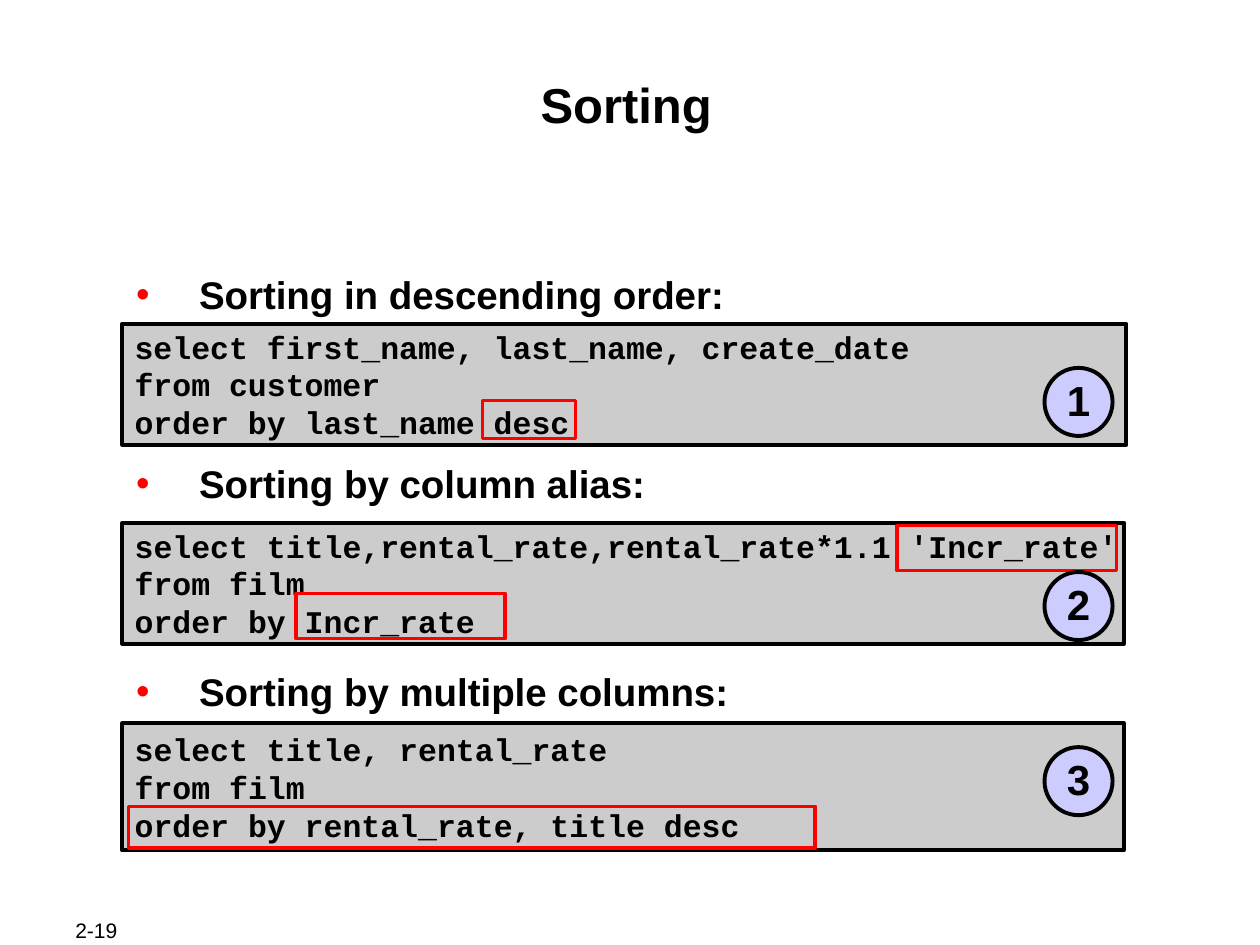
from lxml import etree
from pptx import Presentation
from pptx.dml.color import RGBColor
from pptx.enum.shapes import MSO_SHAPE
from pptx.enum.text import MSO_ANCHOR, PP_ALIGN
from pptx.oxml.ns import qn
from pptx.util import Inches, Pt

RECT, OVAL = MSO_SHAPE.RECTANGLE, MSO_SHAPE.OVAL
TOP, MIDDLE = MSO_ANCHOR.TOP, MSO_ANCHOR.MIDDLE
LEFT, CENTER = PP_ALIGN.LEFT, PP_ALIGN.CENTER
BLACK, RED, GRAY, LILAC = "000000", "FF0000", "CCCCCC", "CCCCFF"

TOPICS = [
    ("Sorting in descending order:", 0),
    ("Sorting by column alias:", 81.5),
    ("Sorting by multiple columns:", 92.5),
]

QUERIES = [
    ((0.97, 2.57, 7.97, 0.96),
     ["select first_name, last_name, create_date",
      "from customer",
      "order by last_name desc"],
     [(2.86, 0.61, 0.74, 0.3)], 0.35),
    ((0.97, 4.15, 7.95, 0.96),
     ["select title,rental_rate,rental_rate*1.1 'Incr_rate'",
      "from film",
      "order by Incr_rate"],
     [(6.15, 0.02, 1.74, 0.36), (1.38, 0.56, 1.66, 0.36)], 0.39),
    ((0.97, 5.74, 7.95, 1.01),
     ["select title, rental_rate",
      "from film",
      "order by rental_rate, title desc"],
     [(0.05, 0.66, 5.45, 0.33)], 0.19),
]


def rgb(color):
    return RGBColor.from_string(color)


def set_frame(tf, anchor, left, top, right, bottom):
    tf.word_wrap = True
    tf.vertical_anchor = anchor
    tf.margin_left, tf.margin_right = Inches(left), Inches(right)
    tf.margin_top, tf.margin_bottom = Inches(top), Inches(bottom)


def add_run(p, text, size, font="Arial", bold=True):
    r = p.add_run()
    r.text = text
    r.font.name = font
    r.font.size = Pt(size)
    r.font.bold = bold
    r.font.color.rgb = rgb(BLACK)


def add_text(slide, box, anchor=TOP, inset=0.01):
    tf = slide.shapes.add_textbox(*map(Inches, box)).text_frame
    set_frame(tf, anchor, inset, inset, inset, inset)
    return tf


def add_outlined(slide, kind, box, line, width, fill=None):
    sp = slide.shapes.add_shape(kind, *map(Inches, box))
    sp.shadow.inherit = False
    if fill:
        sp.fill.solid()
        sp.fill.fore_color.rgb = rgb(fill)
    else:
        sp.fill.background()
    sp.line.color.rgb = rgb(line)
    sp.line.width = Pt(width)
    return sp


def set_bullet(p):
    pPr = p._p.get_or_add_pPr()
    pPr.set("marL", str(Inches(0.63)))
    pPr.set("indent", str(Inches(-0.5)))
    color = etree.SubElement(pPr, qn("a:buClr"))
    etree.SubElement(color, qn("a:srgbClr"), val=RED)
    etree.SubElement(pPr, qn("a:buFont"), typeface="Arial")
    etree.SubElement(pPr, qn("a:buChar"), char="•")


def add_title(slide, box, text):
    p = add_text(slide, box).paragraphs[0]
    p.alignment = CENTER
    add_run(p, text, 28)


def add_topics(slide, box):
    tf = add_text(slide, box)
    for i, (text, gap) in enumerate(TOPICS):
        p = tf.add_paragraph() if i else tf.paragraphs[0]
        set_bullet(p)
        if gap:
            p.space_before = Pt(gap)
        add_run(p, text, 22)


def add_badge(slide, box, number):
    sp = add_outlined(slide, OVAL, box, BLACK, 2.25, LILAC)
    set_frame(sp.text_frame, MIDDLE, 0.05, 0.05, 0.05, 0.05)
    p = sp.text_frame.paragraphs[0]
    p.alignment = CENTER
    p.line_spacing = 0.95
    add_run(p, str(number), 24)


def add_query(slide, box, number, lines, marks, badge_top):
    left, top = box[:2]
    sp = add_outlined(slide, RECT, box, BLACK, 2.25, GRAY)
    tf = sp.text_frame
    set_frame(tf, MIDDLE, 0.1, 0.05, 0, 0.05)
    for i, line in enumerate(lines):
        p = tf.add_paragraph() if i else tf.paragraphs[0]
        p.alignment = LEFT
        add_run(p, line, 18, "Courier New")
    for x, y, width, height in marks:
        add_outlined(slide, RECT, (left + x, top + y, width, height), RED, 2)
    add_badge(slide, (left + 7.32, top + badge_top, 0.54, 0.54), number)


def add_page_number(slide, box, text):
    tf = add_text(slide, box, MIDDLE, 0.1)
    tf.margin_top = tf.margin_bottom = Inches(0)
    add_run(tf.paragraphs[0], text, 12, bold=False)


def main():
    prs = Presentation()
    prs.slide_width, prs.slide_height = Inches(10), Inches(7.5)
    slide = prs.slides.add_slide(prs.slide_layouts[6])
    add_page_number(slide, (0.5, 7.28, 1.06, 0.2), "2-19")
    add_title(slide, (0.97, 0.58, 8, 0.96), "Sorting")
    add_topics(slide, (0.94, 2.14, 8.06, 3.51))
    for number, (box, lines, marks, badge_top) in enumerate(QUERIES, 1):
        add_query(slide, box, number, lines, marks, badge_top)
    prs.save("out.pptx")


if __name__ == "__main__":
    main()
